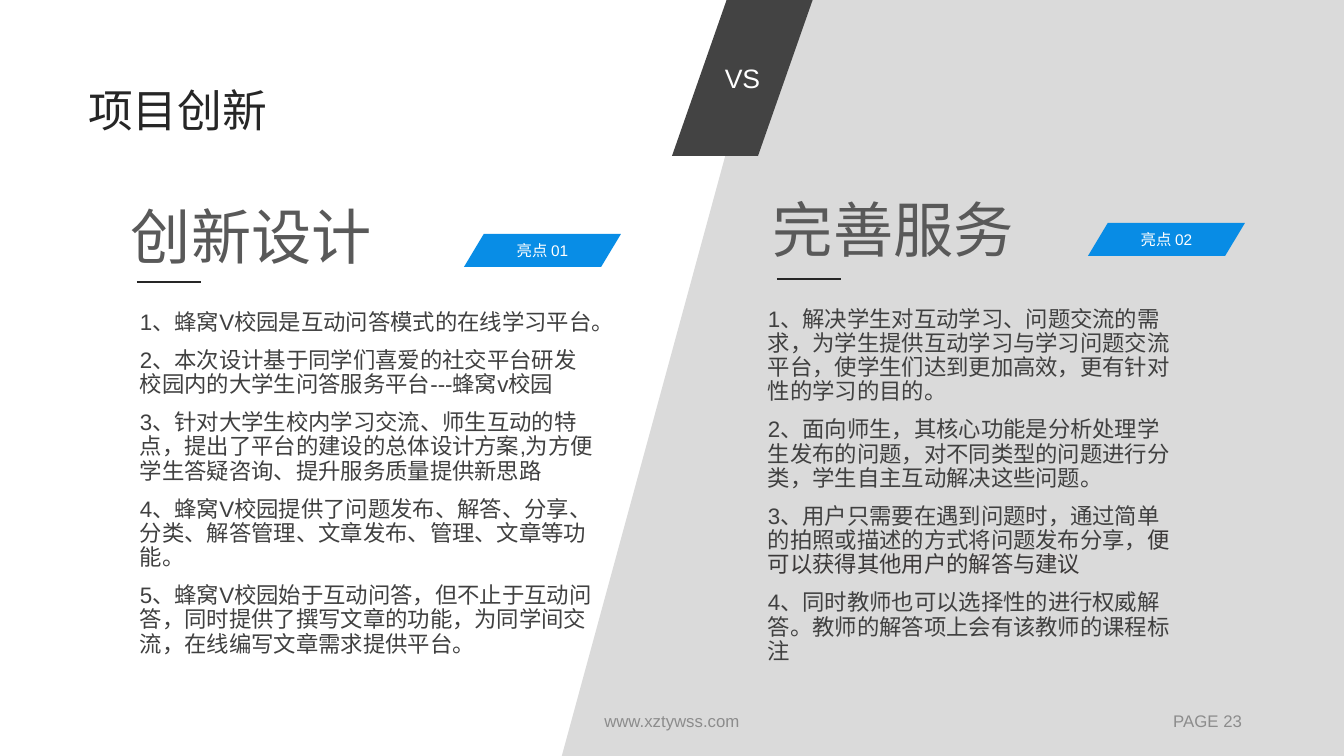
from lxml import etree
from pptx import Presentation
from pptx.dml.color import RGBColor
from pptx.enum.shapes import MSO_CONNECTOR, MSO_SHAPE
from pptx.enum.text import MSO_ANCHOR, MSO_AUTO_SIZE, PP_ALIGN
from pptx.oxml.ns import qn
from pptx.util import Emu, Pt

PARALLELOGRAM = MSO_SHAPE.PARALLELOGRAM
RECTANGLE = MSO_SHAPE.RECTANGLE
STRAIGHT = MSO_CONNECTOR.STRAIGHT
TOP, MIDDLE = MSO_ANCHOR.TOP, MSO_ANCHOR.MIDDLE
LEFT, CENTER, RIGHT = PP_ALIGN.LEFT, PP_ALIGN.CENTER, PP_ALIGN.RIGHT

COLORS = {
    "panel": "DADADA",
    "title": "262626",
    "heading": "595959",
    "body": "404040",
    "closing": "3B3838",
    "badge": "048BE6",
    "footer": "8C8C8C",
    "white": "FFFFFF",
}

DESIGN_POINTS = [
    ["1、蜂窝V校园是互动问答模式的在线学习平台。"],
    ["2、本次设计基于同学们喜爱的社交平台研发校园内的大学生问答服务平台---蜂窝v校园"],
    ["3、针对大学生校内学习交流、师生互动的特点，提出了平台的建设的总体设计方案,为方便学生答疑咨询、提升服务质量提供新思路"],
    ["4、蜂窝V校园提供了问题发布、解答、分享、分类、解答管理、文章发布、管理、文章等功能。"],
    ["5、蜂窝V校园始于互动问答，但不止于互动问答，同时提供了撰写文章的功能，为同学间交流，在线编写文章需求提供平台。"],
]
SERVICE_POINTS = [
    ["1、解决学生对互动学习、问题交流的需求，为学生提供互动学习与学习问题交流平台，使学生们达到更加高效，更有针对性的学习的目的。"],
    ["2、面向师生，其核心功能是分析处理学生发布的问题，对不同类型的问题进行分类，学生自主互动解决这些问题。"],
    ["3、用户只需要在遇到问题时，通过简单的拍照或描述的方式将问题发布分享，", "便可以获得其他用户的解答与建议"],
    ["4、同时教师也可以选择性的进行权威解答。教师的解答项上会有该教师的课程标注"],
]


def px(*lengths):
    return [Emu(round(length * 914400 / 100.8)) for length in lengths]


class ComparisonSlide:
    """Draws the elements of a two-sided comparison slide in one style."""

    font_name = "Arial"

    def __init__(self, presentation):
        self.slide = presentation.slides.add_slide(presentation.slide_layouts[5])

    def format_font(self, font, size, color):
        font.name = self.font_name
        font.size = Pt(size)
        font.color.rgb = RGBColor.from_string(COLORS[color])

    def format_frame(self, frame, size, color, align=LEFT, anchor=TOP, line_spacing=None):
        frame.word_wrap = True
        frame.auto_size = MSO_AUTO_SIZE.NONE
        frame.vertical_anchor = anchor
        for paragraph in frame.paragraphs:
            paragraph.alignment = align
            paragraph.line_spacing = line_spacing
            for run in paragraph.runs:
                self.format_font(run.font, size, color)

    def title(self, text, box):
        shape = self.slide.shapes.title
        shape.left, shape.top, shape.width, shape.height = px(*box)
        shape.text_frame.text = text
        self.format_frame(shape.text_frame, 32, "title", anchor=MIDDLE, line_spacing=0.9)

    def text(self, text, box, size, color, **layout):
        shape = self.slide.shapes.add_textbox(*px(*box))
        shape.text_frame.text = text
        self.format_frame(shape.text_frame, size, color, **layout)

    def points(self, points, box):
        frame = self.slide.shapes.add_textbox(*px(*box)).text_frame
        for index, parts in enumerate(points):
            paragraph = frame.add_paragraph() if index else frame.paragraphs[0]
            paragraph.space_before = Pt(10 if index else 0)
            for part in parts:
                paragraph.add_run().text = part
        self.format_frame(frame, 16, "body", line_spacing=0.9)
        for paragraph in frame.paragraphs:
            for run in paragraph.runs[1:]:
                self.format_font(run.font, 16, "closing")

    def shape(self, kind, box, color, slant=None):
        shape = self.slide.shapes.add_shape(kind, *px(*box))
        shape.shadow.inherit = False
        shape.fill.solid()
        shape.fill.fore_color.rgb = RGBColor.from_string(COLORS[color])
        shape.line.fill.background()
        if slant is not None:
            shape.adjustments[0] = slant
        return shape

    def label(self, text, box, color, slant, size):
        shape = self.shape(PARALLELOGRAM, box, color, slant)
        fill_color = shape._element.spPr.find(qn("a:solidFill"))[0]
        etree.SubElement(fill_color, qn("a:alpha")).set("val", "98000")
        frame = shape.text_frame
        frame.margin_left, frame.margin_right, frame.margin_top, frame.margin_bottom = px(13, 13, 7, 7)
        frame.text = text
        self.format_frame(frame, size, "white", CENTER, MIDDLE)

    def rule(self, left, top, width):
        connector = self.slide.shapes.add_connector(STRAIGHT, *px(left, top, left + width, top))
        connector.line.color.rgb = RGBColor.from_string(COLORS["title"])
        connector.line.width = Pt(1.5)
        etree.SubElement(connector._element.spPr, qn("a:effectLst"))

    def side(self, heading, heading_box, rule_at, badge, badge_at, points, points_box):
        self.points(points, points_box)
        self.text(heading, heading_box, 43, "heading", line_spacing=0.9)
        self.rule(*rule_at, 64)
        self.label(badge, (*badge_at, 157, 33), "badge", 0.6, 11)


def main():
    presentation = Presentation()
    presentation.slide_width, presentation.slide_height = px(1344, 756)
    comparison = ComparisonSlide(presentation)
    comparison.shape(PARALLELOGRAM, (561, 0, 470, 759), "panel", 0.44)
    comparison.shape(RECTANGLE, (806, 0, 538, 759), "panel")
    comparison.title("项目创新", (78, 50, 1199, 126))
    comparison.label("VS", (672, -1, 141, 157), "body", 0.39, 19)
    comparison.side("创新设计", (121, 203, 496, 75), (137, 282), "亮点 01", (464, 234),
                    DESIGN_POINTS, (130, 306, 478, 427))
    comparison.side("完善服务", (763, 196, 496, 79), (777, 279), "亮点 02", (1088, 223),
                    SERVICE_POINTS, (758, 303, 434, 376))
    comparison.text("PAGE 23", (950, 701, 302, 40), 12, "footer", align=RIGHT, anchor=MIDDLE)
    comparison.text("www.xztywss.com", (445, 701, 454, 40), 12, "footer", align=CENTER, anchor=MIDDLE)
    presentation.save("out.pptx")


if __name__ == "__main__":
    main()
